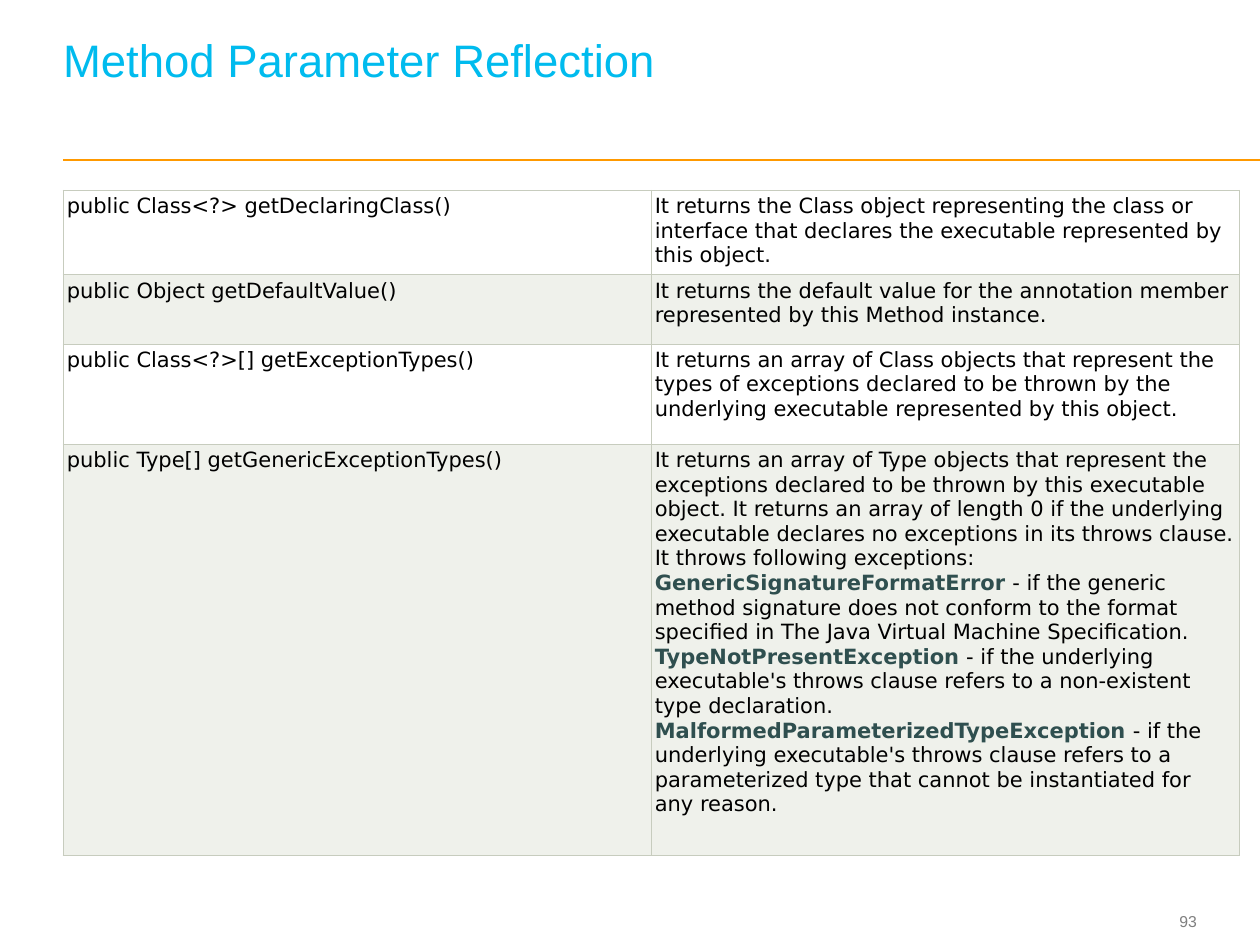
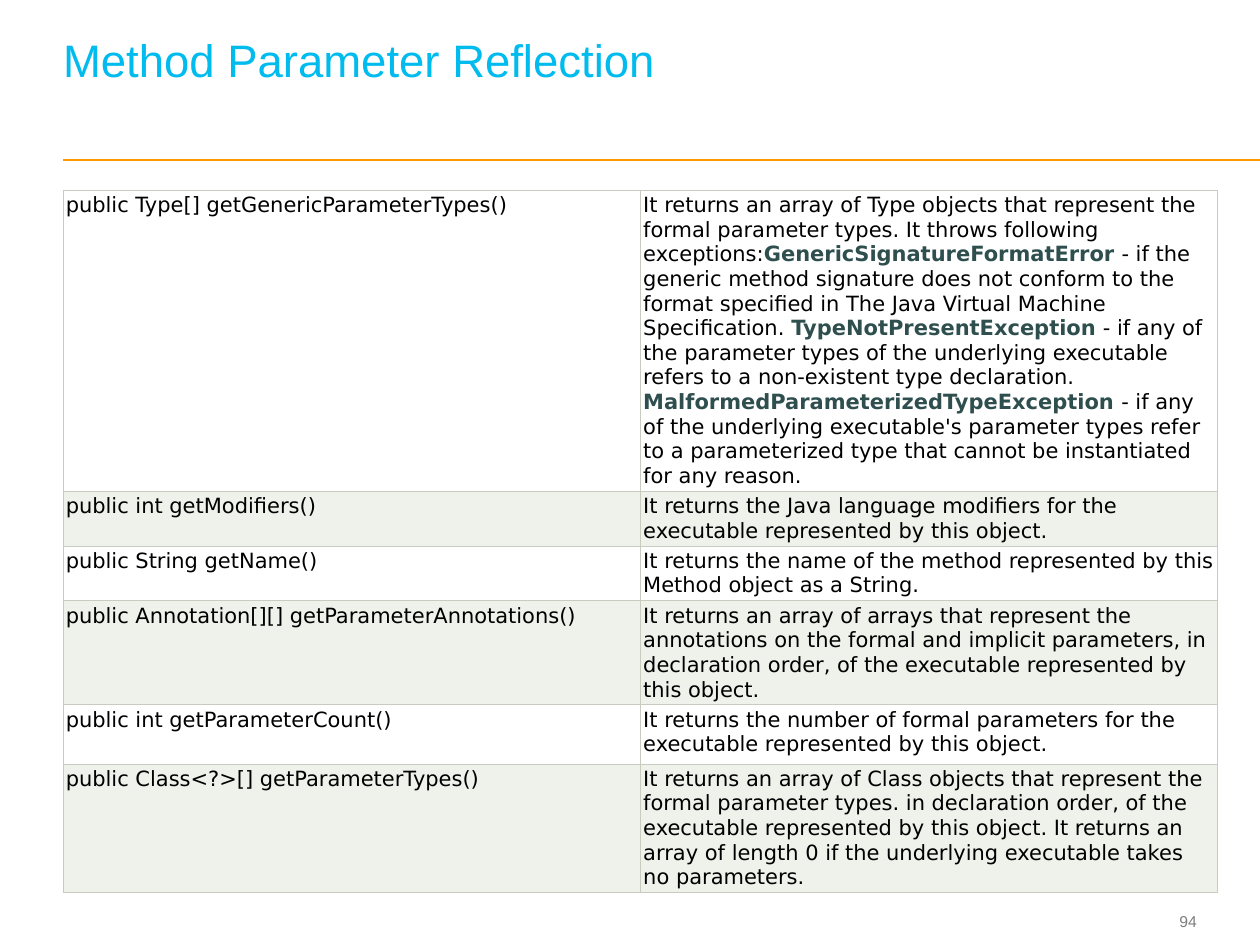
from lxml import etree
from pptx import Presentation
from pptx.dml.color import RGBColor
from pptx.enum.shapes import MSO_CONNECTOR
from pptx.enum.text import MSO_ANCHOR, MSO_AUTO_SIZE, PP_ALIGN
from pptx.oxml.ns import qn
from pptx.util import Pt

LINE = MSO_CONNECTOR.STRAIGHT
LOW, MID = MSO_ANCHOR.BOTTOM, MSO_ANCHOR.MIDDLE
FIXED = MSO_AUTO_SIZE.NONE
LEFT, RIGHT = PP_ALIGN.LEFT, PP_ALIGN.RIGHT

SKY = RGBColor(0x00, 0xBB, 0xEE)
GOLD = RGBColor(0xFF, 0x99, 0x00)
GREY = RGBColor(0x7F, 0x7F, 0x7F)
SAGE = RGBColor(0xC7, 0xCC, 0xBE)
SLATE = RGBColor(0x2F, 0x4F, 0x4F)
BLACK = RGBColor(0x00, 0x00, 0x00)
BANDS = RGBColor(0xFF, 0xFF, 0xFF), RGBColor(0xEF, 0xF1, 0xEB)

HEAD = "Method Parameter Reflection"
EDGE = 36
WIDE = 720

FORMAT = ("*GenericSignatureFormatError* - if the generic method signature does not "
          "conform to the format specified in The Java Virtual Machine Specification. ")
ABSENT = "*TypeNotPresentException* - if "
WRONG = "*MalformedParameterizedTypeException* - if "

PAGES = [
    (93, 336, 2.2, [
        (48.2, "public Class<?> getDeclaringClass()",
         "It returns the Class object representing the class or interface that "
         "declares the executable represented by this object."),
        (39.6, "public Object getDefaultValue()",
         "It returns the default value for the annotation member represented by "
         "this Method instance."),
        (57.2, "public Class<?>[] getExceptionTypes()",
         "It returns an array of Class objects that represent the types of "
         "exceptions declared to be thrown by the underlying executable "
         "represented by this object."),
        (234.9, "public Type[] getGenericExceptionTypes()",
         "It returns an array of Type objects that represent the exceptions "
         "declared to be thrown by this executable object. It returns an array of "
         "length 0 if the underlying executable declares no exceptions in its "
         "throws clause. It throws following exceptions: " + FORMAT + ABSENT +
         "the underlying executable's throws clause refers to a non-existent type "
         "declaration. " + WRONG +
         "the underlying executable's throws clause refers to a parameterized type "
         "that cannot be instantiated for any reason."),
    ]),
    (94, 330, 1.6, [
        (171.6, "public Type[] getGenericParameterTypes()",
         "It returns an array of Type objects that represent the formal parameter "
         "types. It throws following exceptions:" + FORMAT + ABSENT +
         "any of the parameter types of the underlying executable refers to a "
         "non-existent type declaration. " + WRONG +
         "any of the underlying executable's parameter types refer to a "
         "parameterized type that cannot be instantiated for any reason."),
        (26.6, "public int getModifiers()",
         "It returns the Java language modifiers for the executable represented "
         "by this object."),
        (26.6, "public String getName()",
         "It returns the name of the method represented by this Method object as "
         "a String."),
        (49, "public Annotation[][] getParameterAnnotations()",
         "It returns an array of arrays that represent the annotations on the "
         "formal and implicit parameters, in declaration order, of the executable "
         "represented by this object."),
        (33.8, "public int getParameterCount()",
         "It returns the number of formal parameters for the executable "
         "represented by this object."),
        (72, "public Class<?>[] getParameterTypes()",
         "It returns an array of Class objects that represent the formal parameter "
         "types. in declaration order, of the executable represented by this "
         "object. It returns an array of length 0 if the underlying executable "
         "takes no parameters."),
    ]),
]


def add_run(para, text, size, color, face="Arial", bold=False):
    run = para.add_run()
    run.text = text
    font = run.font
    font.size, font.name, font.bold = Pt(size), face, bold
    font.color.rgb = color


def set_frame(frame, anchor, base=0):
    frame.margin_left = frame.margin_right = frame.margin_top = 0
    frame.margin_bottom = Pt(base)
    frame.word_wrap = True
    frame.auto_size = FIXED
    frame.vertical_anchor = anchor


deck = Presentation()
deck.slide_width, deck.slide_height = Pt(WIDE), Pt(540)

for page, width, inset, rows in PAGES:
    slide = deck.slides.add_slide(deck.slide_layouts[5])

    rule = slide.shapes.add_connector(LINE, Pt(EDGE), Pt(91.4), Pt(WIDE), Pt(91.4))
    rule.line.color.rgb = GOLD
    rule.line.width = Pt(1)
    etree.SubElement(rule._element.spPr, qn("a:effectLst"))

    folio = slide.shapes.add_textbox(Pt(641.5), Pt(517), Pt(42.5), Pt(19.4))
    set_frame(folio.text_frame, MID)
    para = folio.text_frame.paragraphs[0]
    para.alignment = RIGHT
    add_run(para, str(page), 9, GREY)

    title = slide.shapes.title
    title.left, title.top = Pt(EDGE), Pt(13.7)
    title.width, title.height = Pt(645.8), Pt(61.9)
    set_frame(title.text_frame, LOW, 26)
    para = title.text_frame.paragraphs[0]
    para.alignment = LEFT
    para.line_spacing = Pt(26)
    add_run(para, HEAD, 26, SKY)

    tall = sum(row[0] for row in rows)
    table = slide.shapes.add_table(
        len(rows), 2, Pt(EDGE), Pt(108.8), Pt(2 * width), Pt(tall)).table
    table.first_row = table.horz_banding = False
    for col in table.columns:
        col.width = Pt(width)

    for i, (height, *texts) in enumerate(rows):
        table.rows[i].height = Pt(height)
        for j, text in enumerate(texts):
            cell = table.cell(i, j)
            cell.margin_left = cell.margin_right = Pt(inset)
            cell.margin_top = cell.margin_bottom = Pt(inset)
            props = cell._tc.get_or_add_tcPr()
            for side in "LRTB":
                line = etree.SubElement(props, qn("a:ln" + side), w=str(Pt(0.6)))
                fill = etree.SubElement(line, qn("a:solidFill"))
                etree.SubElement(fill, qn("a:srgbClr"), val=str(SAGE))
            cell.fill.solid()
            cell.fill.fore_color.rgb = BANDS[i % 2]
            para = cell.text_frame.paragraphs[0]
            for k, part in enumerate(text.split("*")):
                term = k % 2 == 1
                add_run(para, part, 12, SLATE if term else BLACK, "DejaVu Sans", term)

deck.save("out.pptx")
